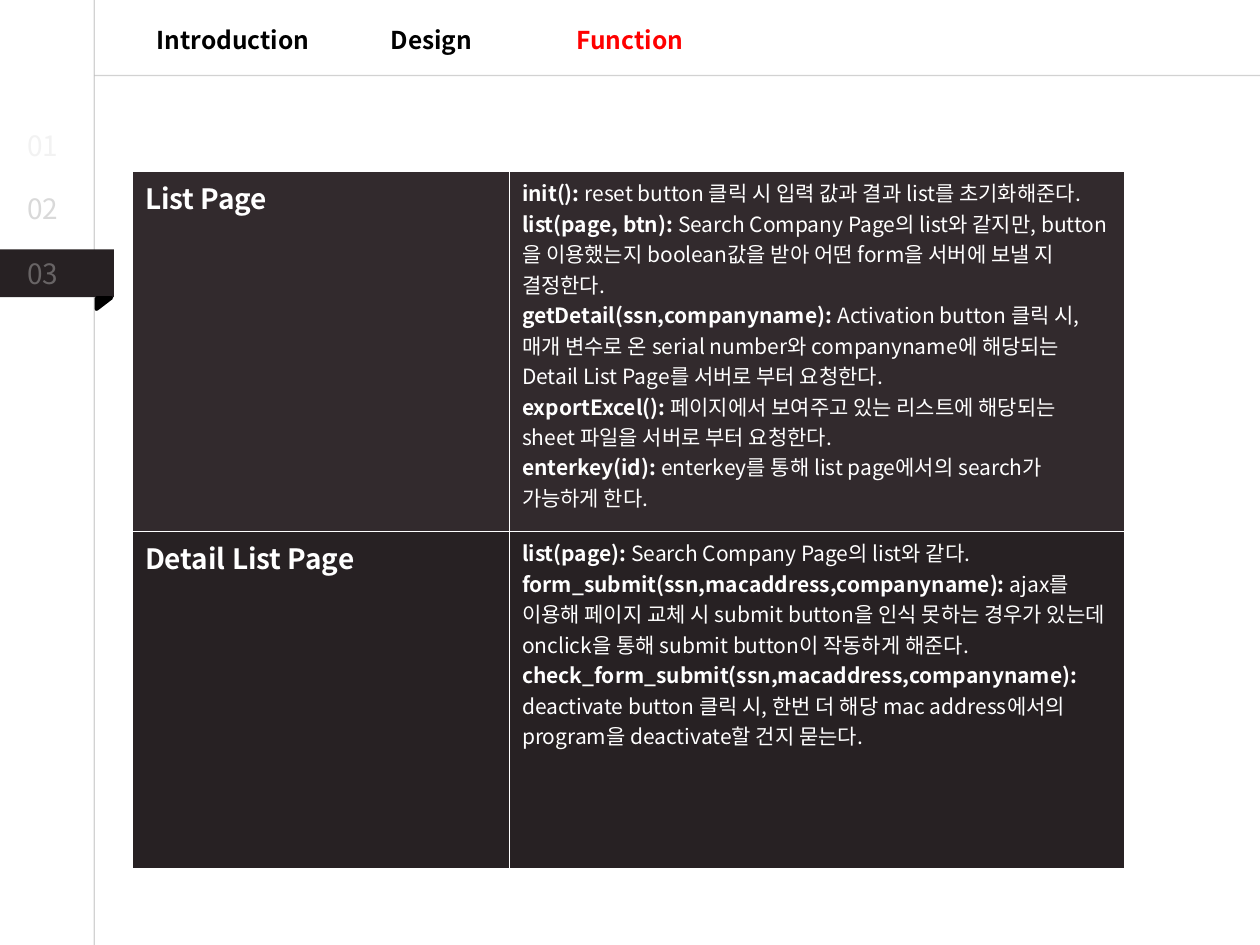
from lxml import etree
from pptx import Presentation
from pptx.dml.color import RGBColor
from pptx.enum.shapes import MSO_CONNECTOR, MSO_SHAPE
from pptx.enum.text import MSO_AUTO_SIZE, PP_ALIGN
from pptx.oxml.ns import qn
from pptx.util import Cm, Pt

RECT, TRI = MSO_SHAPE.RECTANGLE, MSO_SHAPE.RIGHT_TRIANGLE
LINE = MSO_CONNECTOR.STRAIGHT
GROW = MSO_AUTO_SIZE.SHAPE_TO_FIT_TEXT
LEFT, MID = PP_ALIGN.LEFT, PP_ALIGN.CENTER
FACE = "Noto Sans CJK KR"
HUE = {
    "white": "FFFFFF", "black": "000000", "red": "FF0000", "rule": "A6A6A6",
    "pale": "F2F2F2", "mist": "D9D9D9", "dark": "272123", "plum": "322A2D",
}
TABS = [("Introduction", "black"), ("Design", "black"), ("Function", "red")]
STEPS = [("01", 2.46, "pale", "black"), ("02", 3.73, "mist", "black"),
         ("03", 5.05, "white", "white")]
ROWS = [
    ("List Page", "plum", 7.26, [
        ("init():", " reset button 클릭 시 입력 값과 결과 list를 초기화해준다."),
        ("list(page, btn): ", "Search Company Page의 list와 같지만, button을 이용했는지 "
         "boolean값을 받아 어떤 form을 서버에 보낼 지 결정한다."),
        ("getDetail(ssn,companyname): ", "Activation button 클릭 시, 매개 변수로 온 "
         "serial number와 companyname에 해당되는 Detail List Page를 서버로 부터 요청한다."),
        ("exportExcel(): ", "페이지에서 보여주고 있는 리스트에 해당되는 "
         "sheet 파일을 서버로 부터 요청한다."),
        ("enterkey(id): ", "enterkey를 통해 list page에서의 search가 가능하게 한다."),
    ]),
    ("Detail List Page", "dark", 6.81, [
        ("list(page): ", "Search Company Page의 list와 같다."),
        ("form_submit(ssn,macaddress,companyname):", " ajax를 이용해 페이지 교체 시 "
         "submit button을 인식 못하는 경우가 있는데 onclick을 통해 submit button이 "
         "작동하게 해준다."),
        ("check_form_submit(ssn,macaddress,companyname):", " deactivate button 클릭 시, "
         "한번 더 해당 mac address에서의 program을 deactivate할 건지 묻는다."),
    ]),
]


def tint(name):
    """Return the named colour."""
    return RGBColor.from_string(HUE[name])


def fade(fill, share):
    """Make every plain colour below an element partly opaque."""
    for clr in fill.iter(qn("a:srgbClr")):
        etree.SubElement(clr, qn("a:alpha"), val=str(share * 1000))


def style(run, size, hue, bold=False):
    """Set the face, size, colour and weight of a run."""
    font = run.font
    font.name, font.size, font.bold = FACE, Pt(size), bold
    font.color.rgb = tint(hue)
    latin = run._r.rPr.find(qn("a:latin"))
    latin.addnext(latin.makeelement(qn("a:ea"), typeface=FACE))


def edge(run, hue):
    """Give the letters of a run a thin faint outline."""
    ln = etree.Element(qn("a:ln"), w="9525")
    fill = etree.SubElement(ln, qn("a:solidFill"))
    etree.SubElement(fill, qn("a:srgbClr"), val=HUE[hue])
    fade(ln, 30)
    run._r.rPr.insert(0, ln)


def label(slide, box, text, size, hue, rim, bold=False, align=LEFT):
    """Add a one-line text box and return its run."""
    frame = slide.shapes.add_textbox(*map(Cm, box)).text_frame
    frame.text = text
    frame.word_wrap, frame.auto_size = True, GROW
    para = frame.paragraphs[0]
    para.alignment = align
    run = para.runs[0]
    style(run, size, hue, bold)
    edge(run, rim)
    return run


def rule(slide, *ends):
    """Draw a thin faint line between two points."""
    line = slide.shapes.add_connector(LINE, *map(Cm, ends))
    line.line.color.rgb = tint("rule")
    line.line.width = Pt(0.75)
    fade(line.line._ln, 50)
    etree.SubElement(line._element.spPr, qn("a:effectLst"))


def block(slide, kind, box, hue):
    """Add a plain filled shape."""
    shape = slide.shapes.add_shape(kind, *map(Cm, box))
    shape.shadow.inherit = False
    shape.fill.solid()
    shape.fill.fore_color.rgb = tint(hue)
    shape.line.fill.background()
    return shape


def rail(slide, x, y, w, h):
    """Build the side rail with its step numbers and marker."""
    rule(slide, x + w, y, x + w, y + h)
    block(slide, RECT, (x, y + 5.03, w + 0.4, 0.96), "dark")
    fold = block(slide, TRI, (x + w + 0.08, y + 5.97, 0.23, 0.3), "black")
    fold.rotation = 90
    fold.line.color.rgb = tint("black")
    fold.line.width = Pt(2)
    for text, top, hue, rim in STEPS:
        run = label(slide, (x + 0.3, y + top, 1.24, 0.94), text, 16, hue, rim)
    fade(run._r.rPr.find(qn("a:solidFill")), 30)


def nav(slide, x, y, w, h):
    """Build the top bar with its section names."""
    rule(slide, x + w, y + h, x, y + h)
    for i, (text, hue) in enumerate(TABS):
        label(slide, (x + 1 + 4 * i, y + 0.38, 3.6, 0.86), text, 14, hue,
              "mist", True, MID)


def grid(slide, x, y, w, h):
    """Build the table of pages and their functions."""
    table = slide.shapes.add_table(len(ROWS), 2, Cm(x), Cm(y), Cm(w), Cm(h)).table
    table.horz_banding = False
    table.columns[0].width = Cm(0.38 * w)
    table.columns[1].width = Cm(0.62 * w)
    for row, (name, hue, tall, items) in zip(table.rows, ROWS):
        row.height = Cm(tall)
        head, body = row.cells
        for cell in row.cells:
            cell.fill.solid()
            cell.fill.fore_color.rgb = tint(hue)
        head.text_frame.text = name
        style(head.text_frame.paragraphs[0].runs[0], 16, "white", True)
        body.text_frame.text = "\n".join(call for call, _ in items)
        for para, (_, note) in zip(body.text_frame.paragraphs, items):
            style(para.runs[0], 12, "white", True)
            run = para.add_run()
            run.text = note
            style(run, 12, "white")


def main():
    """Build the slide and save it."""
    deck = Presentation()
    deck.slide_width, deck.slide_height = Cm(25.4), Cm(19.05)
    slide = deck.slides.add_slide(deck.slide_layouts[6])
    rail(slide, 0, 0, 1.9, 19.05)
    nav(slide, 1.9, 0, 23.5, 1.52)
    grid(slide, 2.67, 3.45, 20, 14.07)
    deck.save("out.pptx")


if __name__ == "__main__":
    main()
